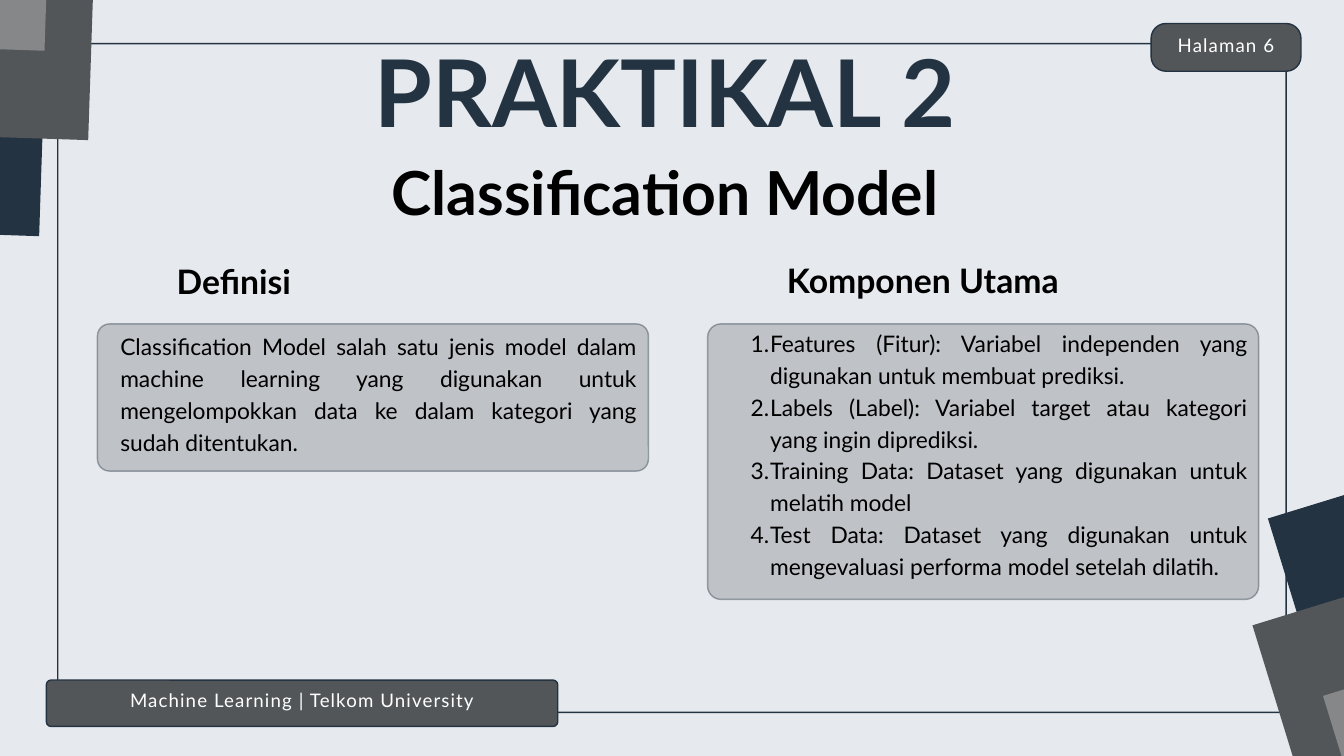
import lxml.etree
import pptx
import pptx.dml.color
import pptx.enum.shapes
import pptx.enum.text
import pptx.oxml.ns
import pptx.util

PX = 9144  # EMU in one px, 100 px to the inch
COLORS = {
    "paper": "E6EAEF",
    "navy": "243342",
    "charcoal": "535659",
    "gray": "858789",
    "black": "000000",
    "white": "FFFFFF",
}
ALIGN = pptx.enum.text.PP_ALIGN
SHAPES = pptx.enum.shapes.MSO_SHAPE
qn = pptx.oxml.ns.qn


def rgb(name):
    return pptx.dml.color.RGBColor.from_string(COLORS[name])


class SlideBuilder:
    font = "Lato"

    def __init__(self, slide):
        self.slide = slide
        slide.background.fill.solid()
        slide.background.fill.fore_color.rgb = rgb("paper")

    def block(self, kind, box, color):
        shape = self.slide.shapes.add_shape(kind, *(value * PX for value in box))
        shape.shadow.inherit = False
        shape.fill.solid()
        shape.fill.fore_color.rgb = rgb(color)
        return shape

    def square(self, left, top, color, rotation):
        shape = self.block(SHAPES.RECTANGLE, (left, top, 607, 610), color)
        shape.line.fill.background()
        shape.rotation = rotation

    def rounded(self, box, color, radius, opacity=100):
        shape = self.block(SHAPES.ROUNDED_RECTANGLE, box, color)
        shape.adjustments[0] = radius / min(box[2:])
        shape.line.color.rgb = rgb("navy")
        shape.line.width = pptx.util.Pt(1.5)
        if opacity < 100:
            for element in list(shape._element.spPr.iter(qn("a:srgbClr"))):
                alpha = lxml.etree.SubElement(element, qn("a:alpha"))
                alpha.set("val", str(opacity * 1000))
        return shape

    def fill_text(self, shape, lines, size, spacing, color="black", align=ALIGN.LEFT,
                  bold=False, tracking=0, numbered=False, top_inset=0):
        """Fill a shape's text frame, one paragraph to a line."""
        frame = shape.text_frame
        frame.word_wrap = True
        frame.auto_size = pptx.enum.text.MSO_AUTO_SIZE.NONE
        frame.vertical_anchor = pptx.enum.text.MSO_ANCHOR.TOP
        frame.margin_left = frame.margin_right = frame.margin_bottom = 0
        frame.margin_top = top_inset * PX
        for index, line in enumerate(lines):
            paragraph = frame.add_paragraph() if index else frame.paragraphs[0]
            paragraph.alignment = align
            paragraph.line_spacing = pptx.util.Pt(spacing)
            paragraph.space_before = pptx.util.Pt(0)
            if numbered:
                self.number(paragraph)
            run = paragraph.add_run()
            run.text = line
            run.font.name = self.font
            run.font.size = pptx.util.Pt(size)
            run.font.bold = bold
            run.font.color.rgb = rgb(color)
            if tracking:
                run._r.get_or_add_rPr().set("spc", str(round(tracking * 100)))

    def number(self, paragraph):
        paragraph.level = 1
        properties = paragraph._p.get_or_add_pPr()
        properties.set("marL", str(58 * PX))
        properties.set("indent", str(-29 * PX))
        bullet = lxml.etree.SubElement(properties, qn("a:buAutoNum"))
        bullet.set("type", "arabicPeriod")

    def text(self, box, line, **style):
        shape = self.slide.shapes.add_textbox(*(value * PX for value in box))
        self.fill_text(shape, [line], **style)

    def placeholder(self, index, box, lines, **style):
        """Place a template placeholder in front of the shapes drawn so far."""
        shape = self.slide.placeholders[index]
        shape.left, shape.top, shape.width, shape.height = (value * PX for value in box)
        self.slide.shapes._spTree.append(shape._element)
        self.fill_text(shape, lines, **style)

    def badge(self, box, line, radius, top_inset):
        shape = self.rounded(box, "charcoal", radius)
        self.fill_text(shape, [line], size=20, spacing=28, color="white",
                       align=ALIGN.CENTER, tracking=1.2, top_inset=top_inset)


def main():
    presentation = pptx.Presentation()
    presentation.slide_width = 2000 * PX
    presentation.slide_height = 1125 * PX
    slide = presentation.slides.add_slide(presentation.slide_layouts[1])
    builder = SlideBuilder(slide)

    builder.rounded((86, 65, 1828, 995), "paper", radius=10)
    corners = [
        (271.9, [(-540, -267), (-467, -410), (-532, -543)]),
        (72.9, [(1964, 667), (1941, 826), (2046, 931)]),
    ]
    for rotation, positions in corners:
        for (left, top), color in zip(positions, ("navy", "charcoal", "gray")):
            builder.square(left, top, color, rotation)

    builder.placeholder(0, (516, 90, 947, 189), ["PRAKTIKAL 2"], size=100, spacing=92,
                        color="navy", align=ALIGN.CENTER, bold=True)
    builder.text((567, 256, 846, 121), "Classification Model", size=65, spacing=59.8,
                 align=ALIGN.CENTER, bold=True)

    columns = [
        ("Definisi", 145, 402, 219, 18),
        ("Komponen Utama", 1053, 400, 410, 20),
    ]
    for heading, left, heading_top, height, radius in columns:
        builder.rounded((left, 482, 820, height), "gray", radius, opacity=40)
        builder.text((left + 118, heading_top, 678, 67), heading,
                     size=36.1, spacing=33.2, bold=True)

    body = {"size": 24.4, "spacing": 34.1, "align": ALIGN.JUSTIFY}
    builder.text(
        (179, 489, 768, 195),
        "Classification Model salah satu jenis model dalam machine learning yang "
        "digunakan untuk mengelompokkan data ke dalam kategori yang sudah ditentukan.",
        **body)
    components = [
        "Features (Fitur): Variabel independen yang digunakan untuk membuat prediksi.",
        "Labels (Label): Variabel target atau kategori yang ingin diprediksi.",
        "Training Data: Dataset yang digunakan untuk melatih model",
        "Test Data: Dataset yang digunakan untuk mengevaluasi performa model setelah dilatih.",
    ]
    builder.placeholder(1, (1088, 484, 768, 387), components, numbered=True, **body)

    builder.badge((1713, 35, 223, 71), "Halaman 6", radius=22, top_inset=3)
    builder.badge((69, 1012, 761, 69), "Machine Learning | Telkom University",
                  radius=7, top_inset=6)

    presentation.save("out.pptx")


if __name__ == "__main__":
    main()
